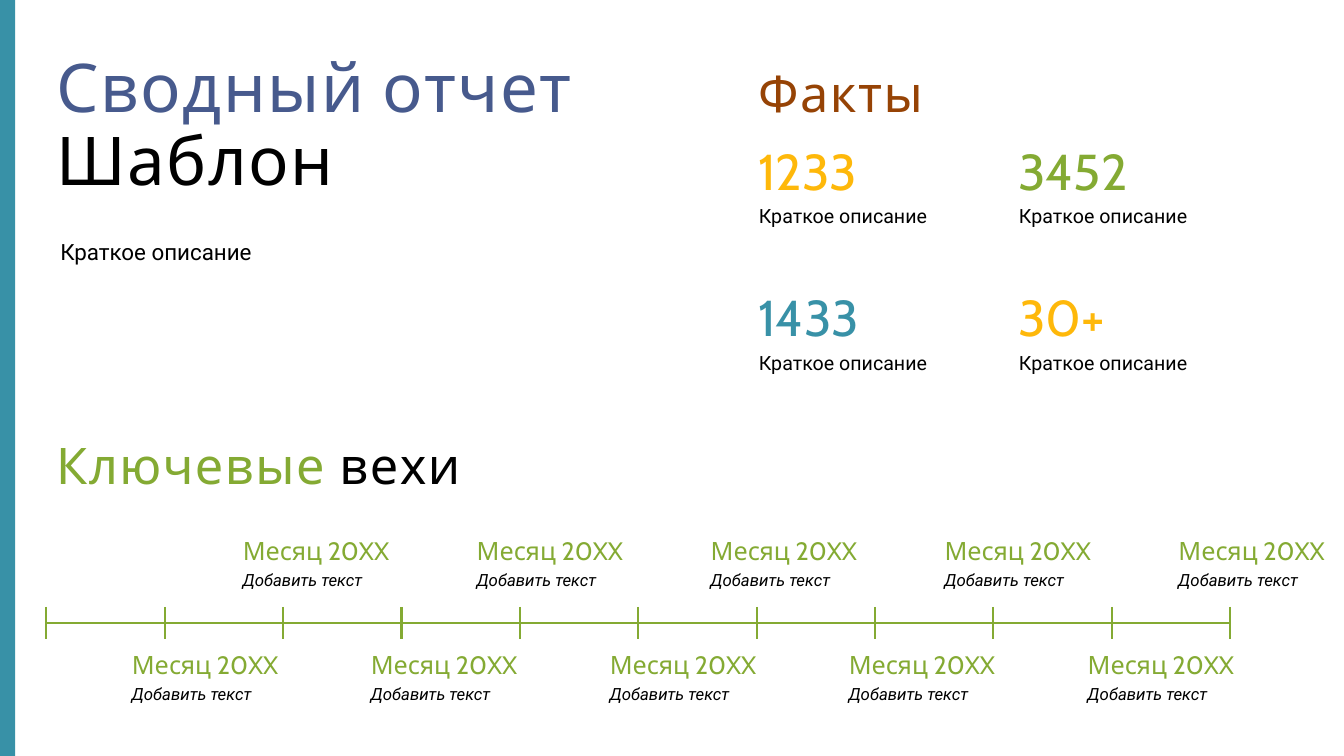
from dataclasses import dataclass

from lxml import etree
from pptx import Presentation
from pptx.dml.color import RGBColor
from pptx.enum.shapes import MSO_CONNECTOR, MSO_SHAPE
from pptx.enum.text import MSO_ANCHOR, MSO_AUTO_SIZE, PP_ALIGN
from pptx.oxml.ns import qn
from pptx.util import Inches, Pt

STRAIGHT = MSO_CONNECTOR.STRAIGHT
RECTANGLE = MSO_SHAPE.RECTANGLE
ROUNDED = MSO_SHAPE.ROUNDED_RECTANGLE
TOP = MSO_ANCHOR.TOP
LEFT = PP_ALIGN.LEFT
FIXED = MSO_AUTO_SIZE.NONE
GROW = MSO_AUTO_SIZE.SHAPE_TO_FIT_TEXT

SLIDE_WIDTH, SLIDE_HEIGHT = 13.33, 7.5
TITLE_ONLY = 5


@dataclass(frozen=True)
class Theme:
    heading_font: str = "Cabin"
    body_font: str = "Roboto"
    black: str = "000000"
    blue: str = "475A8D"
    brown: str = "964305"
    yellow: str = "FEB80A"
    teal: str = "3891A7"
    green: str = "84AA33"
    title_size: int = 48
    heading_size: int = 36
    month_size: int = 18
    summary_size: int = 16
    caption_size: int = 14
    note_size: int = 12
    letter_spacing: int = 110
    heading_line_spacing: float = 0.9


THEME = Theme()


def write_text(shape, runs, size, font_name, heading=False, spaced=False, italic=False, fit=GROW):
    frame = shape.text_frame
    frame_format = {"word_wrap": True, "auto_size": fit, "vertical_anchor": TOP}
    for name, value in frame_format.items():
        setattr(frame, name, value)
    paragraph = frame.paragraphs[0]
    paragraph.alignment = LEFT
    if heading:
        paragraph.line_spacing = THEME.heading_line_spacing
    font_format = {"name": font_name, "size": Pt(size), "bold": False, "italic": italic}
    for text, color in runs:
        run = paragraph.add_run()
        run.text = text
        for name, value in font_format.items():
            setattr(run.font, name, value)
        run.font.color.rgb = RGBColor.from_string(color)
        if spaced:
            run.font._element.set("spc", str(THEME.letter_spacing))


def add_heading(shapes, box, runs, spaced=True):
    shape = shapes.add_textbox(*map(Inches, box))
    write_text(shape, runs, THEME.heading_size, THEME.heading_font, heading=True, spaced=spaced)


def add_label(shapes, box, text, color, size, font_name, **text_format):
    shape = shapes.add_shape(ROUNDED, *map(Inches, box))
    shape.adjustments[0] = 0.08
    shape.shadow.inherit = False
    shape.fill.background()
    shape.line.fill.background()
    write_text(shape, [(text, color)], size, font_name, **text_format)


def add_line(shapes, start, end):
    line = shapes.add_connector(STRAIGHT, *map(Inches, (*start, *end)))
    line.line.color.rgb = RGBColor.from_string(THEME.green)
    line.line.width = Pt(1.5)
    etree.SubElement(line._element.spPr, qn("a:effectLst"))


def add_side_bar(slide, box):
    bar = slide.shapes.add_shape(RECTANGLE, *map(Inches, box))
    bar.shadow.inherit = False
    bar.fill.solid()
    bar.fill.fore_color.rgb = RGBColor.from_string(THEME.teal)
    bar.line.fill.background()


def add_title_region(slide, box):
    left, top, width, height = box
    title = slide.shapes.title
    place = {"left": left, "top": top, "width": width, "height": 1.54}
    for name, value in place.items():
        setattr(title, name, Inches(value))
    runs = [("Сводный отчет", THEME.blue), (" Шаблон", THEME.black)]
    write_text(title, runs, THEME.title_size, THEME.heading_font, heading=True, spaced=True)
    summary_box = (left, top + 1.78, width - 1.2, height - 1.78)
    add_label(slide.shapes, summary_box, "Краткое описание", THEME.black,
              THEME.summary_size, THEME.body_font, fit=FIXED)


def add_facts_region(slide, box):
    left, top, width, _ = box
    facts = [
        [("1233", THEME.yellow), ("3452", THEME.green)],
        [("1433", THEME.teal), ("30+", THEME.yellow)],
    ]
    add_heading(slide.shapes, (left, top, width, 0.64), [("Факты", THEME.brown)])
    for row, row_facts in enumerate(facts):
        for column, fact in enumerate(row_facts):
            fact_left = left + 2.58 * column
            fact_top = top + 0.77 + 1.45 * row
            add_heading(slide.shapes, (fact_left, fact_top, 1.43, 0.64), [fact], spaced=False)
            add_label(slide.shapes, (fact_left, fact_top + 0.56, 2.75, 0.35),
                      "Краткое описание", THEME.black, THEME.caption_size, THEME.body_font)


def add_milestone(slide, left, top):
    group = slide.shapes.add_group_shape()
    width = min(2.75, SLIDE_WIDTH - left)
    add_label(group.shapes, (left, top, width, 0.42), "Месяц 20XX", THEME.green,
              THEME.month_size, THEME.heading_font)
    add_label(group.shapes, (left, top + 0.35, width, 0.32), "Добавить текст", THEME.black,
              THEME.note_size, THEME.body_font, italic=True)


def add_axis(slide, left, center, width, tick_count=11, tick_height=0.32):
    group = slide.shapes.add_group_shape()
    add_line(group.shapes, (left, center), (left + width, center))
    for index in range(tick_count):
        x = left + width * index / (tick_count - 1)
        add_line(group.shapes, (x, center - tick_height / 2), (x, center + tick_height / 2))


def add_milestones_region(slide, box):
    left, top, width, _ = box
    add_heading(slide.shapes, (left, top, 5.36, 0.64),
                [("Ключевые ", THEME.green), ("вехи", THEME.black)])
    add_axis(slide, left, top + 1.85, width)
    rows = [(1.84, 0.92, 2.32), (0.74, 2.05, 2.37)]
    for offset_x, offset_y, step in rows:
        for index in range(5):
            add_milestone(slide, left + offset_x + step * index, top + offset_y)


def main():
    presentation = Presentation()
    presentation.slide_width = Inches(SLIDE_WIDTH)
    presentation.slide_height = Inches(SLIDE_HEIGHT)
    slide = presentation.slides.add_slide(presentation.slide_layouts[TITLE_ONLY])
    add_title_region(slide, (0.46, 0.49, 6.99, 3.49))
    add_facts_region(slide, (7.42, 0.64, 5.35, 3.13))
    add_milestones_region(slide, (0.46, 4.33, 11.74, 2.72))
    add_side_bar(slide, (0, 0, 0.15, SLIDE_HEIGHT))
    presentation.save("out.pptx")


if __name__ == "__main__":
    main()
